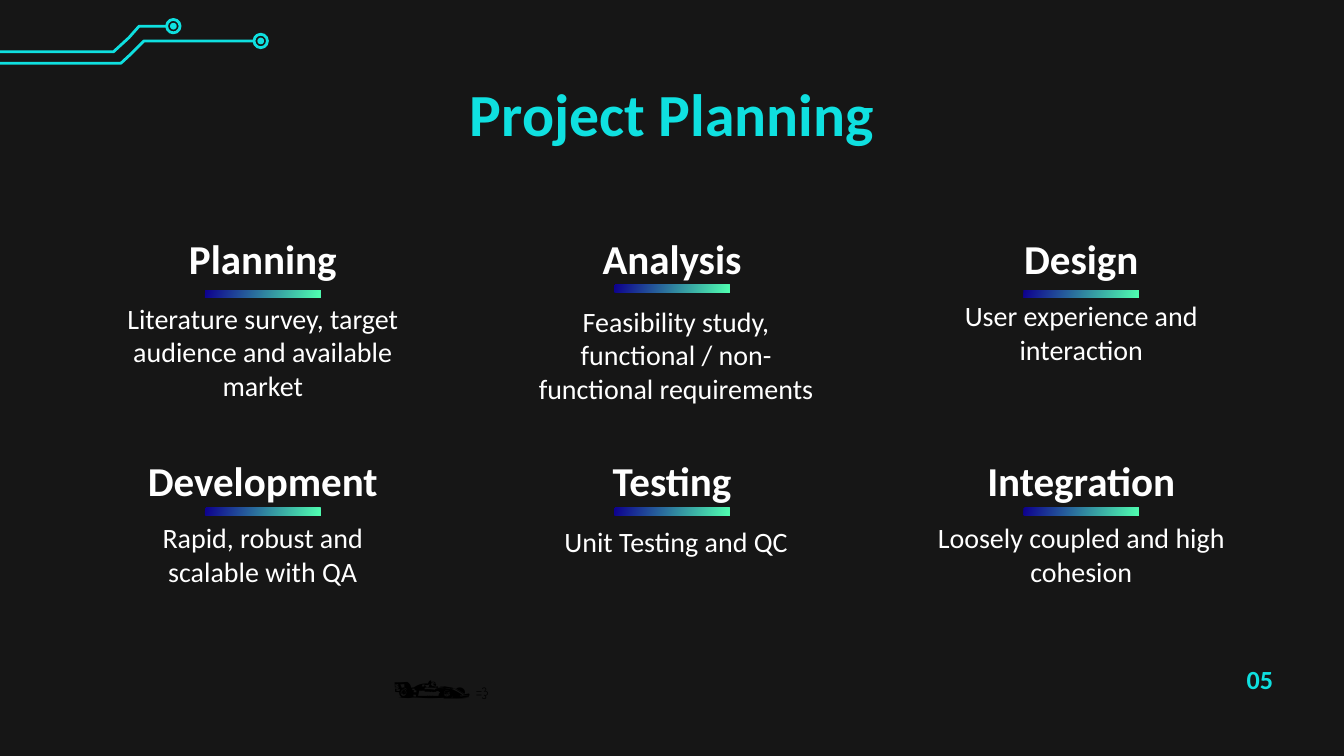
"""Build the project planning slide with six phases in a three by two grid."""
from dataclasses import dataclass

from pptx import Presentation
from pptx.dml.color import RGBColor as Rgb
from pptx.enum.shapes import MSO_AUTO_SHAPE_TYPE as Preset
from pptx.enum.text import MSO_ANCHOR as Anchor, MSO_AUTO_SIZE as AutoSize, PP_ALIGN as Align
from pptx.shapes.base import BaseShape
from pptx.slide import Slide
from pptx.util import Emu, Pt

EMU_PER_PX = 4572


@dataclass(frozen=True)
class Theme:
    ground: Rgb = Rgb.from_string("161616")
    accent: Rgb = Rgb.from_string("0FE0E0")
    text: Rgb = Rgb.from_string("FFFFFF")
    emoji: Rgb = Rgb.from_string("000000")
    bar_start: Rgb = Rgb.from_string("0D008E")
    bar_end: Rgb = Rgb.from_string("50FFB0")
    font: str = "Calibri"
    emoji_font: str = "Arial"
    title_size: int = 32
    heading_size: int = 22
    body_size: int = 15
    number_size: int = 14
    car_size: int = 36
    puff_size: int = 7
    trace_width: float = 1.5


@dataclass(frozen=True)
class Box:
    left: int
    top: int
    width: int
    height: int


@dataclass(frozen=True)
class Phase:
    heading: str
    detail: str
    detail_width: int
    detail_height: int
    bar_offset: int


@dataclass(frozen=True)
class Trace:
    points: tuple[tuple[int, int], ...]
    node: tuple[int, int]


THEME = Theme()
GRID_LEFT, GRID_TOP, COLUMN_PITCH, ROW_PITCH, COLUMNS = 156, 344, 609, 330, 3
HEADING_WIDTH, HEADING_HEIGHT, DETAIL_OFFSET = 470, 80, 98
BAR_WIDTH, BAR_HEIGHT = 172, 11
RING, DOT = 20, 10

PHASES = (
    Phase("Planning", "Literature survey, target audience and available market", 470, 162, 88),
    Phase("Analysis", "Feasibility study, functional / non-functional requirements", 482, 172, 80),
    Phase("Design", "User experience and interaction", 470, 106, 88),
    Phase("Development", "Rapid, robust and scalable with QA", 470, 106, 82),
    Phase("Testing", "Unit Testing and QC", 482, 66, 82),
    Phase("Integration", "Loosely coupled and high cohesion", 470, 106, 82),
)
TRACES = (
    Trace(((0, 94), (180, 94), (192, 83), (214, 61), (378, 61)), (388, 61)),
    Trace(((0, 77), (169, 77), (192, 56), (207, 39), (248, 39)), (258, 39)),
)


def px(length: int) -> Emu:
    """Turn whole px into EMU."""
    return Emu(length * EMU_PER_PX)


def edges(box: Box) -> tuple[Emu, Emu, Emu, Emu]:
    """Give the box as EMU lengths."""
    return px(box.left), px(box.top), px(box.width), px(box.height)


def write(holder: BaseShape, box: Box, runs: dict[str, int], color: Rgb, bold: bool = False,
          font: str = THEME.font, align: Align = Align.CENTER,
          anchor: Anchor = Anchor.MIDDLE, inset: int = 20) -> None:
    """Place a text holder and fill it with sized runs."""
    holder.left, holder.top, holder.width, holder.height = edges(box)
    frame = holder.text_frame
    frame_format = {
        "word_wrap": True, "auto_size": AutoSize.NONE, "vertical_anchor": anchor,
        "margin_left": px(20), "margin_right": px(20),
        "margin_top": px(inset), "margin_bottom": px(inset),
    }
    for key, value in frame_format.items():
        setattr(frame, key, value)
    line = frame.paragraphs[0]
    line.alignment = align
    for words, size in runs.items():
        run = line.add_run()
        run.text = words
        for key, value in {"name": font, "size": Pt(size), "bold": bold}.items():
            setattr(run.font, key, value)
        run.font.color.rgb = color


def add_text(slide: Slide, box: Box, runs: dict[str, int], color: Rgb, **style) -> None:
    """Add a text box with sized runs."""
    write(slide.shapes.add_textbox(*edges(box)), box, runs, color, **style)


def outline(shape: BaseShape) -> None:
    """Leave only an accent line on a shape."""
    shape.shadow.inherit = False
    shape.fill.background()
    shape.line.color.rgb = THEME.accent
    shape.line.width = Pt(THEME.trace_width)


def add_disc(slide: Slide, center: tuple[int, int], size: int) -> BaseShape:
    """Add a circle around a center."""
    x, y = center
    return slide.shapes.add_shape(
        Preset.OVAL, *edges(Box(x - size // 2, y - size // 2, size, size)))


def draw_trace(slide: Slide, trace: Trace) -> None:
    """Draw a circuit trace that ends in a ringed node."""
    start, *bends = trace.points
    builder = slide.shapes.build_freeform(*start, scale=EMU_PER_PX)
    builder.add_line_segments(bends, close=False)
    outline(builder.convert_to_shape())
    outline(add_disc(slide, trace.node, RING))
    dot = add_disc(slide, trace.node, DOT)
    dot.shadow.inherit = False
    dot.fill.solid()
    dot.fill.fore_color.rgb = THEME.accent
    dot.line.fill.background()


def draw_bar(slide: Slide, box: Box) -> None:
    """Draw the gradient bar under a heading."""
    bar = slide.shapes.add_shape(Preset.RECTANGLE, *edges(box))
    bar.shadow.inherit = False
    bar.line.fill.background()
    bar.fill.gradient()
    bar.fill.gradient_angle = 345
    for stop, color, position in zip(
            bar.fill.gradient_stops, (THEME.bar_start, THEME.bar_end), (0, 1)):
        stop.color.rgb = color
        stop.position = position


def draw_phase(slide: Slide, phase: Phase, index: int) -> None:
    """Draw one phase in its grid cell."""
    row, column = divmod(index, COLUMNS)
    left, top = GRID_LEFT + column * COLUMN_PITCH, GRID_TOP + row * ROW_PITCH
    add_text(slide, Box(left, top, HEADING_WIDTH, HEADING_HEIGHT),
             {phase.heading: THEME.heading_size}, THEME.text, bold=True)
    add_text(slide, Box(left, top + DETAIL_OFFSET, phase.detail_width, phase.detail_height),
             {phase.detail: THEME.body_size}, THEME.text)
    draw_bar(slide, Box(left + (HEADING_WIDTH - BAR_WIDTH) // 2, top + phase.bar_offset,
                        BAR_WIDTH, BAR_HEIGHT))


def main() -> None:
    """Build and save the deck."""
    deck = Presentation()
    deck.slide_width, deck.slide_height = px(2000), px(1125)
    slide = deck.slides.add_slide(deck.slide_layouts.get_by_name("Title Only"))
    slide.background.fill.solid()
    slide.background.fill.fore_color.rgb = THEME.ground
    for trace in TRACES:
        draw_trace(slide, trace)
    write(slide.shapes.title, Box(157, 118, 1686, 100),
          {"Project Planning": THEME.title_size}, THEME.accent, bold=True)
    for index, phase in enumerate(PHASES):
        draw_phase(slide, phase, index)
    add_text(slide, Box(1764, 978, 222, 130), {"05": THEME.number_size}, THEME.accent,
             bold=True, anchor=Anchor.TOP, inset=10)
    add_text(slide, Box(560, 928, 360, 142), {"🏎️": THEME.car_size, "💨": THEME.puff_size},
             THEME.emoji, font=THEME.emoji_font, align=Align.LEFT, anchor=Anchor.TOP, inset=10)
    deck.save("out.pptx")


if __name__ == "__main__":
    main()
